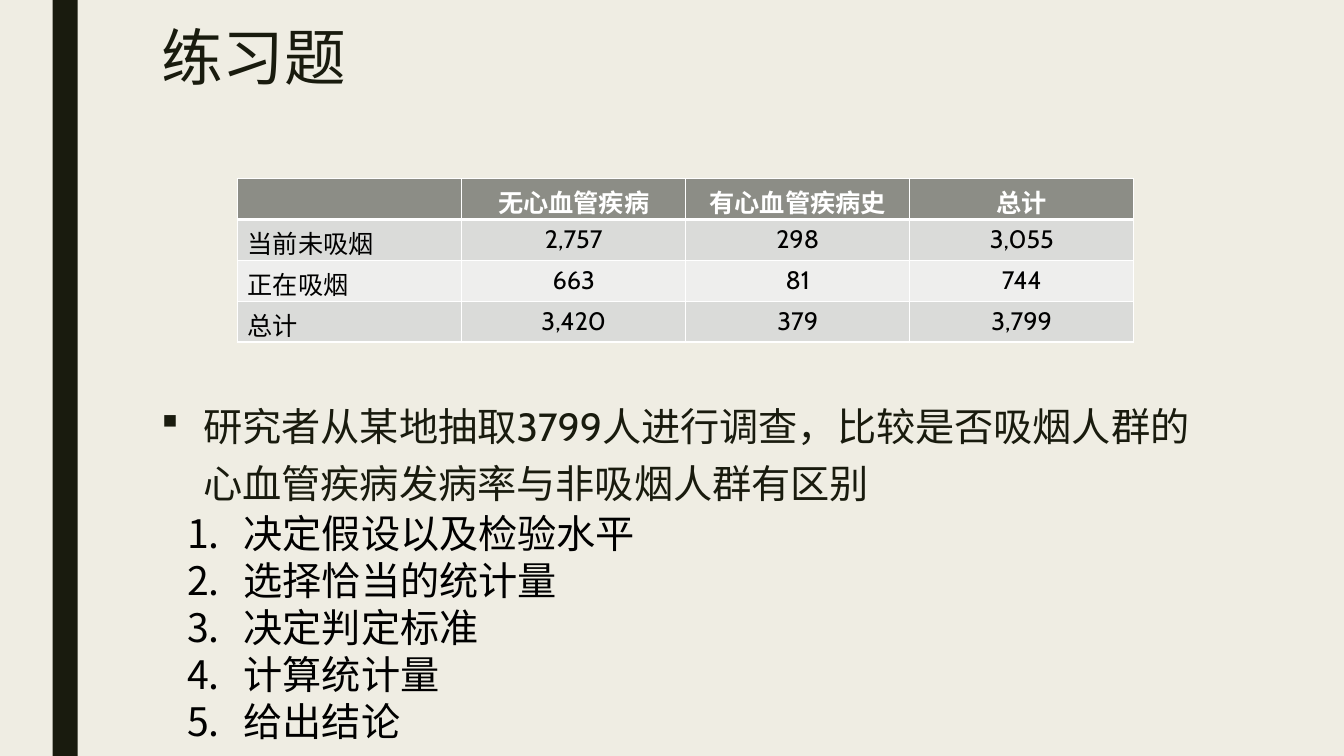
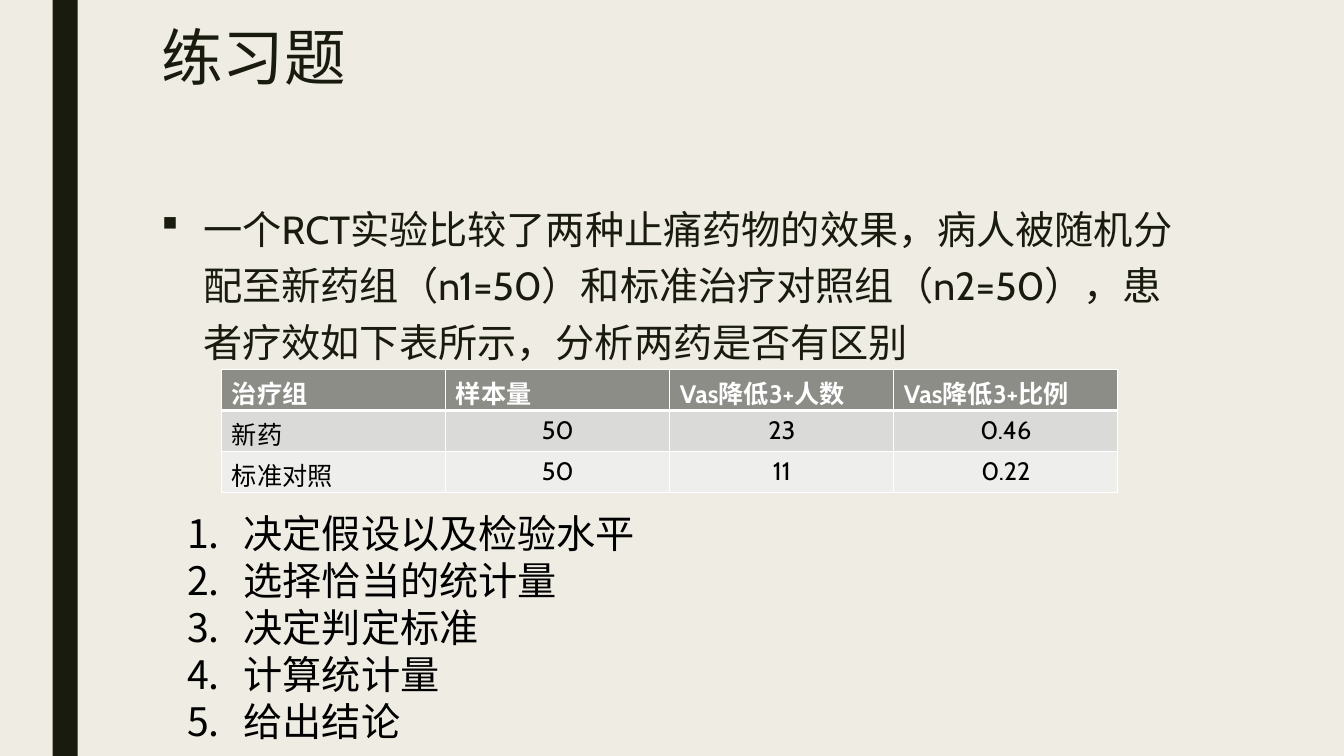
"""Build two exercise slides, each with a data table and the steps of a test."""
from lxml import etree
from pptx import Presentation
from pptx import util as u
from pptx.dml.color import RGBColor
from pptx.enum import shapes, text
from pptx.oxml.ns import qn

COLUMNS, ROWS = 160, 90
CELL = u.Inches(7.5) / ROWS
FONT = "Cabin"
CREAM = RGBColor(0xEF, 0xED, 0xE3)
INK = RGBColor(0x19, 0x1B, 0x0E)
BLACK = RGBColor(0, 0, 0)
WHITE = RGBColor(0xFF, 0xFF, 0xFF)
HEADER_GREY = RGBColor(0x8C, 0x8D, 0x86)
BANDS = RGBColor(0xDA, 0xDB, 0xD9), RGBColor(0xEE, 0xEE, 0xED)

TITLE_FONT = {"name": FONT, "size": u.Pt(44)}
BODY_FONT = {"name": FONT, "size": u.Pt(28)}
HEADER_FONT = {"name": FONT, "size": u.Pt(18), "bold": True}
CELL_FONT = {**HEADER_FONT, "bold": False}
TITLE_SPACING = {"line_spacing": 0.89}
QUESTION_SPACING = {"line_spacing": 1.2, "space_before": u.Pt(10), "space_after": u.Pt(2)}

SQUARE = [("buFont", {"typeface": "Wingdings"}), ("buChar", {"char": "§"})]
NUMBER = [("buFont", {"typeface": "+mj-lt"}), ("buAutoNum", {"type": "arabicPeriod"})]

LEFT, TEXT_WIDTH = 18, 126
TABLE_COLUMN, TABLE_ROW = 26.67, 4.87
STEPS = ["决定假设以及检验水平", "选择恰当的统计量", "决定判定标准", "计算统计量", "给出结论"]

SMOKING_QUESTION = "研究者从某地抽取3799人进行调查，比较是否吸烟人群的心血管疾病发病率与非吸烟人群有区别"
SMOKING = [
    ["", "无心血管疾病", "有心血管疾病史", "总计"],
    ["当前未吸烟", "2,757", "298", "3,055"],
    ["正在吸烟", "663", "81", "744"],
    ["总计", "3,420", "379", "3,799"],
]
TRIAL_QUESTION = ("一个RCT实验比较了两种止痛药物的效果，病人被随机分配至新药组（n1=50）"
                  "和标准治疗对照组（n2=50），患者疗效如下表所示，分析两药是否有区别")
TRIAL = [
    ["治疗组", "样本量", "Vas降低3+人数", "Vas降低3+比例"],
    ["新药", "50", "23", "0.46"],
    ["标准对照", "50", "11", "0.22"],
]


def grid(*lengths):
    return [u.Emu(round(length * CELL)) for length in lengths]


def apply(target, values):
    for key, value in values.items():
        setattr(target, key, value)


def write(paragraph, wording, font, color, spacing=None):
    apply(paragraph, spacing or {})
    run = paragraph.add_run()
    run.text = wording
    apply(run.font, font)
    run.font.color.rgb = color


def add_bullet(paragraph, marks, indent):
    properties = paragraph._p.get_or_add_pPr()
    properties.set("marL", str(u.Inches(indent)))
    properties.set("indent", str(-u.Inches(indent)))
    for tag, values in marks:
        etree.SubElement(properties, qn(f"a:{tag}"), values)


def add_text(slide, area, lines, font, color, spacing=None, marks=(), indent=0):
    frame = slide.shapes.add_textbox(*grid(*area)).text_frame
    frame.word_wrap = True
    for index, line in enumerate(lines):
        paragraph = frame.add_paragraph() if index else frame.paragraphs[0]
        write(paragraph, line, font, color, spacing)
        if marks:
            add_bullet(paragraph, marks, indent)
    return frame


def add_band(slide):
    band = slide.shapes.add_shape(shapes.MSO_SHAPE.RECTANGLE, *grid(6.25, 0, 3, ROWS))
    band.shadow.inherit = False
    band.fill.solid()
    band.fill.fore_color.rgb = INK
    band.line.fill.background()


def add_borders(cell, above, below):
    properties = cell._tc.get_or_add_tcPr()
    for index, (side, points) in enumerate(zip("LRTB", (1, 1, above, below))):
        edge = etree.Element(qn(f"a:ln{side}"), {"w": str(u.Pt(points))})
        fill = etree.SubElement(edge, qn("a:solidFill"))
        etree.SubElement(fill, qn("a:srgbClr"), {"val": str(WHITE)})
        properties.insert(index, edge)


def add_data(slide, left, top, data, header_align):
    width, height = TABLE_COLUMN * len(data[0]), TABLE_ROW * len(data)
    frame = slide.shapes.add_table(len(data), len(data[0]), *grid(left, top, width, height))
    table = frame.table
    table.horz_banding = False
    for r, record in enumerate(data):
        for c, value in enumerate(record):
            cell = table.cell(r, c)
            cell.fill.solid()
            cell.fill.fore_color.rgb = BANDS[(r - 1) % 2] if r else HEADER_GREY
            add_borders(cell, 3 if r == 1 else 1, 1 if r else 3)
            paragraph = cell.text_frame.paragraphs[0]
            if r == 0:
                paragraph.alignment = header_align
            elif c:
                paragraph.alignment = text.PP_ALIGN.CENTER
            if value:
                write(paragraph, value, CELL_FONT if r else HEADER_FONT, BLACK if r else WHITE)


def add_exercise(deck, question, question_area, data, data_corner, header_align):
    slide = deck.slides.add_slide(deck.slide_layouts[6])
    add_band(slide)
    add_text(slide, (LEFT, 2.75, TEXT_WIDTH, 19.4), ["练习题"], TITLE_FONT, INK, TITLE_SPACING)
    top, height = question_area
    add_text(slide, (LEFT, top, TEXT_WIDTH, height), [question], BODY_FONT, INK,
             QUESTION_SPACING, SQUARE, 0.42)
    add_data(slide, *data_corner, data, header_align)
    steps = add_text(slide, (21.1, 60, 80, 29.5), STEPS, BODY_FONT, BLACK,
                     marks=NUMBER, indent=0.56)
    steps.auto_size = text.MSO_AUTO_SIZE.SHAPE_TO_FIT_TEXT


def main():
    deck = Presentation()
    deck.slide_width, deck.slide_height = grid(COLUMNS, ROWS)
    backdrop = deck.slide_master.background.fill
    backdrop.solid()
    backdrop.fore_color.rgb = CREAM
    add_exercise(deck, SMOKING_QUESTION, (46.2, 37.6), SMOKING, (28.3, 21.25),
                 text.PP_ALIGN.CENTER)
    add_exercise(deck, TRIAL_QUESTION, (22.7, 47), TRIAL, (26.4, 44),
                 text.PP_ALIGN.LEFT)
    deck.save("out.pptx")


if __name__ == "__main__":
    main()
